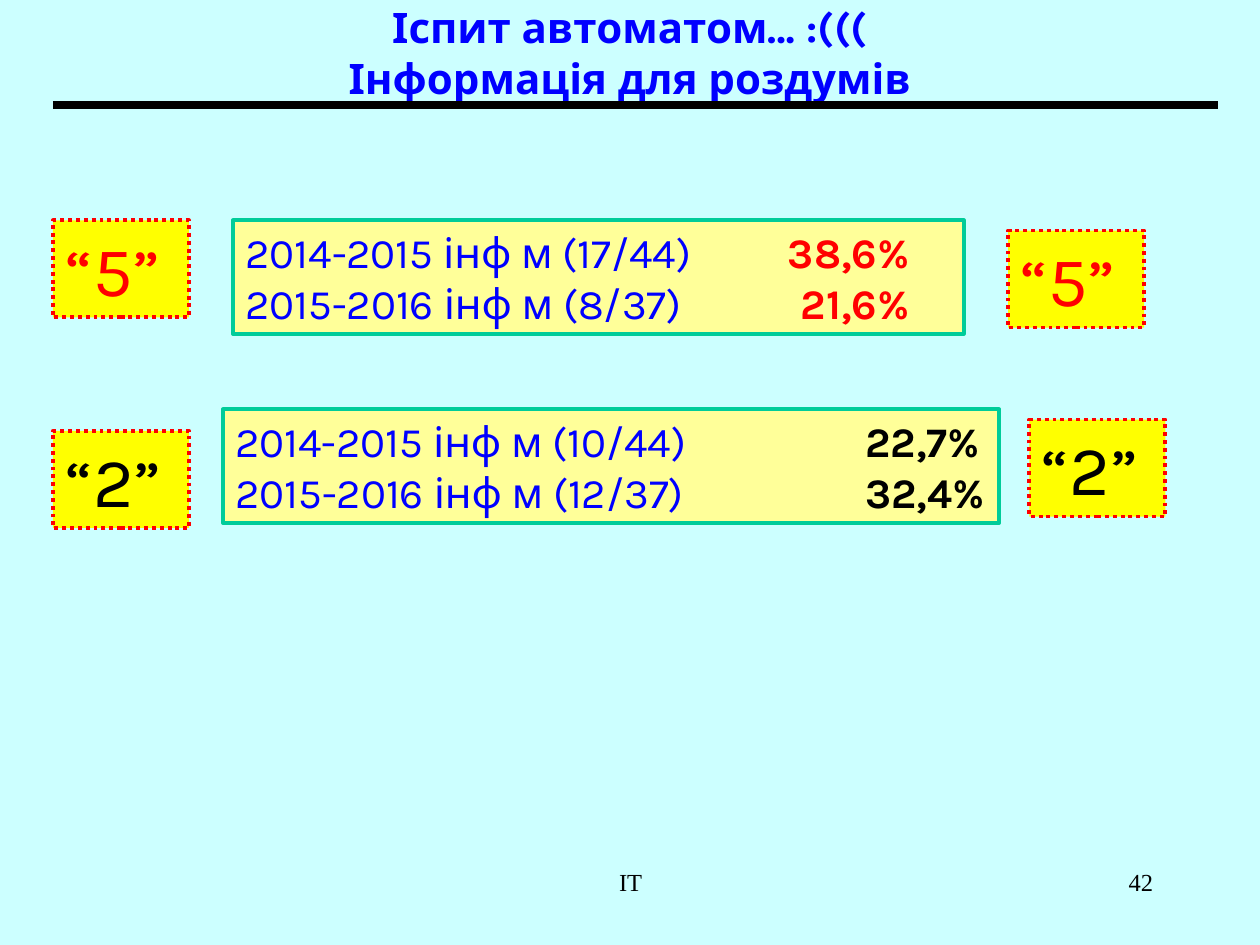
from lxml.etree import SubElement
from pptx import Presentation
from pptx.dml.color import RGBColor
from pptx.enum.dml import MSO_LINE
from pptx.enum.shapes import MSO_CONNECTOR, MSO_SHAPE
from pptx.enum.text import MSO_ANCHOR, PP_ALIGN
from pptx.oxml.ns import qn
from pptx.util import Inches, Pt

BLUE = RGBColor(0x00, 0x00, 0xFF)
RED = RGBColor(0xFF, 0x00, 0x00)
BLACK = RGBColor(0x00, 0x00, 0x00)
YELLOW = RGBColor(0xFF, 0xFF, 0x00)
PALE_YELLOW = RGBColor(0xFF, 0xFF, 0x99)
GREEN = RGBColor(0x00, 0xCC, 0x99)
PALE_CYAN = RGBColor(0xCC, 0xFF, 0xFF)

TITLE = "Іспит автоматом… :(((\vІнформація для роздумів"
FOOTERS = [
    ("IT", (3.42, 6.83, 3.17, 0.5), PP_ALIGN.CENTER),
    ("42", (7.17, 6.83, 2.08, 0.5), PP_ALIGN.RIGHT),
]
BADGE_SIZE = (1.08, 0.77)
RESULTS = [
    {
        "grade": "“5”",
        "color": RED,
        "badges": [(0.42, 1.75), (8, 1.83)],
        "box": (1.85, 1.75, 5.8, 0.9),
        "tab": (5.27, "r"),
        "rows": [("2014-2015 інф м (17/44)", "38,6%"),
                 ("2015-2016 інф м (8/37)", "21,6%")],
    },
    {
        "grade": "“2”",
        "color": BLACK,
        "badges": [(0.42, 3.42), (8.17, 3.33)],
        "box": (1.77, 3.25, 6.16, 0.9),
        "tab": (5, "l"),
        "rows": [("2014-2015 інф м (10/44)", "22,7%"),
                 ("2015-2016 інф м (12/37)", "32,4%")],
    },
]


def format_run(run, size, color, bold=False, font="Karla"):
    run.font.name = font
    run.font.size = Pt(size)
    run.font.bold = bold
    run.font.color.rgb = color


def add_text(slide, text, place, alignment, size, color, **style):
    frame = slide.shapes.add_textbox(*map(Inches, place)).text_frame
    frame.word_wrap = True
    frame.text = text
    paragraph = frame.paragraphs[0]
    paragraph.alignment = alignment
    for run in paragraph.runs:
        format_run(run, size, color, **style)
    return frame


def add_box(slide, place, fill, line):
    box = slide.shapes.add_shape(MSO_SHAPE.RECTANGLE, *map(Inches, place))
    box.shadow.inherit = False
    box.fill.solid()
    box.fill.fore_color.rgb = fill
    box.line.color.rgb = line
    box.line.width = Pt(2.25)
    box.text_frame.word_wrap = True
    box.text_frame.vertical_anchor = MSO_ANCHOR.TOP
    return box


def add_badge(slide, position, grade, color):
    badge = add_box(slide, position + BADGE_SIZE, YELLOW, RED)
    badge.line.dash_style = MSO_LINE.ROUND_DOT
    badge.text_frame.text = grade
    paragraph = badge.text_frame.paragraphs[0]
    paragraph.alignment = PP_ALIGN.LEFT
    format_run(paragraph.runs[0], 40, color)


def add_tab_stop(paragraph, position, alignment):
    tabs = SubElement(paragraph._p.get_or_add_pPr(), qn("a:tabLst"))
    SubElement(tabs, qn("a:tab"), pos=str(Inches(position)), algn=alignment)


def add_result_box(slide, result):
    frame = add_box(slide, result["box"], PALE_YELLOW, GREEN).text_frame
    frame.margin_right = 0
    frame.text = "\n".join(label + "\t" for label, _ in result["rows"])
    for paragraph, (_, share) in zip(frame.paragraphs, result["rows"]):
        paragraph.alignment = PP_ALIGN.LEFT
        add_tab_stop(paragraph, *result["tab"])
        format_run(paragraph.runs[0], 24, BLUE)
        share_run = paragraph.add_run()
        share_run.text = share
        format_run(share_run, 24, result["color"], bold=True)


def main():
    presentation = Presentation()
    presentation.slide_width, presentation.slide_height = Inches(10), Inches(7.5)
    slide = presentation.slides.add_slide(presentation.slide_layouts[6])
    slide.background.fill.solid()
    slide.background.fill.fore_color.rgb = PALE_CYAN

    title = add_text(slide, TITLE, (0, 0, 10, 0.83), PP_ALIGN.CENTER, 24, BLUE, bold=True)
    title.vertical_anchor = MSO_ANCHOR.MIDDLE

    rule = slide.shapes.add_connector(
        MSO_CONNECTOR.STRAIGHT, Inches(0.42), Inches(0.83), Inches(9.67), Inches(0.83))
    rule.line.color.rgb = BLACK
    rule.line.width = Pt(4.5)
    SubElement(rule._element.spPr, qn("a:effectLst"))

    for result in RESULTS:
        for position in result["badges"]:
            add_badge(slide, position, result["grade"], result["color"])
        add_result_box(slide, result)

    for text, place, alignment in FOOTERS:
        add_text(slide, text, place, alignment, 14, BLACK, font="Times New Roman")

    presentation.save("out.pptx")


if __name__ == "__main__":
    main()
